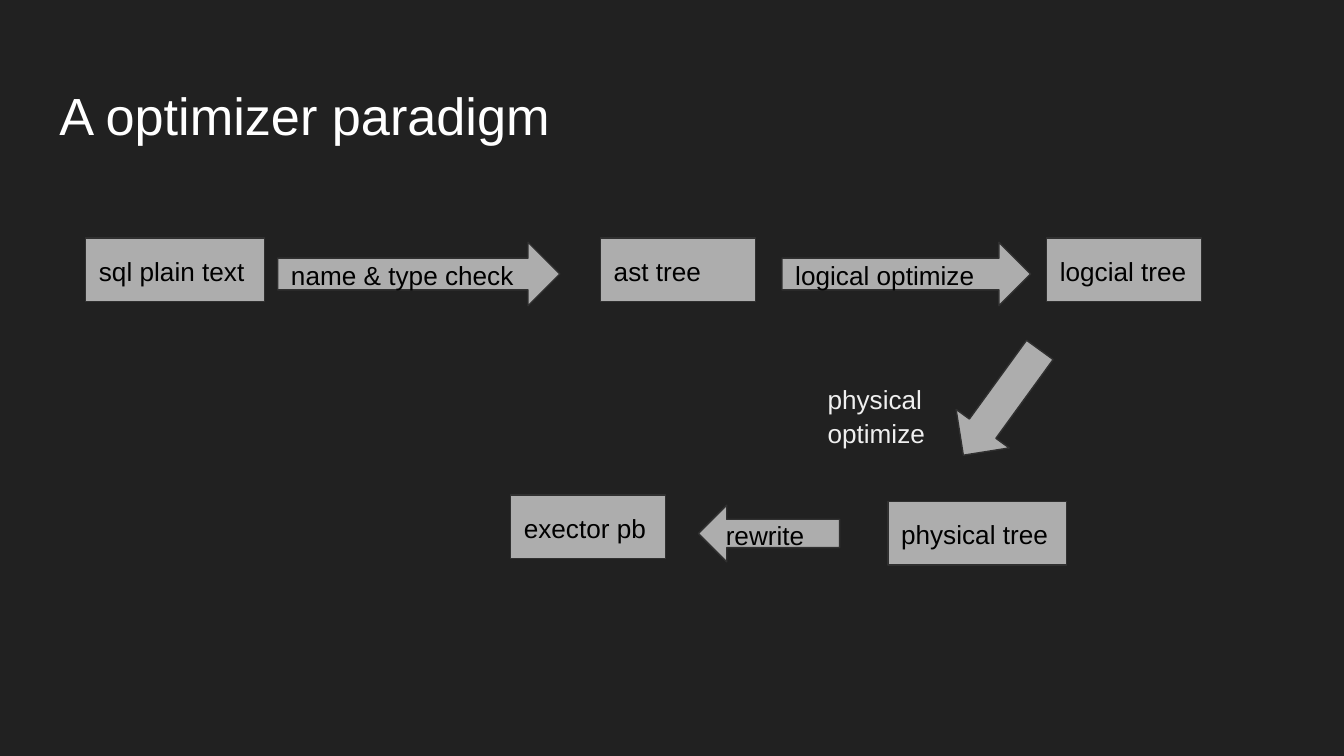
from pptx import Presentation
from pptx.dml.color import RGBColor
from pptx.enum.shapes import MSO_SHAPE
from pptx.enum.text import MSO_ANCHOR, MSO_AUTO_SIZE, PP_ALIGN
from pptx.util import Cm, Pt

RECT, RIGHT = MSO_SHAPE.RECTANGLE, MSO_SHAPE.RIGHT_ARROW
LEFT, DOWN = MSO_SHAPE.LEFT_ARROW, MSO_SHAPE.DOWN_ARROW
TOP, MIDDLE = MSO_ANCHOR.TOP, MSO_ANCHOR.MIDDLE

COLORS = {"bg": "212121", "fill": "ADADAD", "line": "303030",
          "title": "FFFFFF", "label": "EFEFEF", "text": "000000"}
TITLE_ONLY = 5
INSET = Cm(0.25)


def color(name):
    return RGBColor.from_string(COLORS[name])


def write(sp, text, size, color_name, anchor):
    tf = sp.text_frame
    frame = {"word_wrap": True, "auto_size": MSO_AUTO_SIZE.NONE,
             "vertical_anchor": anchor}
    frame.update({f"margin_{side}": INSET
                  for side in ("left", "top", "right", "bottom")})
    for name, value in frame.items():
        setattr(tf, name, value)
    p = tf.paragraphs[0]
    p.alignment, p.line_spacing = PP_ALIGN.LEFT, 1.07
    r = p.add_run()
    r.text = text
    for name, value in {"name": "Arial", "size": Pt(size)}.items():
        setattr(r.font, name, value)
    r.font.color.rgb = color(color_name)


def add_title(s, box, text):
    sp = s.shapes.title
    for name, value in zip(("left", "top", "width", "height"), box):
        setattr(sp, name, Cm(value))
    write(sp, text, 28, "title", TOP)


def add_block(s, kind, box, text="", rotation=0):
    sp = s.shapes.add_shape(kind, *map(Cm, box))
    sp.shadow.inherit = False
    sp.rotation = rotation
    sp.fill.solid()
    sp.fill.fore_color.rgb = color("fill")
    sp.line.color.rgb = color("line")
    sp.line.width = Pt(0.75)
    if text:
        write(sp, text, 14, "text", MIDDLE)


def add_flow(s, box):
    """Place the stages and the steps between them from the box's corner."""
    x, y = box[:2]
    wide, narrow, height = 3.38, 2.93, 1.2

    # Stages
    for dx, dy, width, text in (
            (0, 0, wide, "sql plain text"),
            (9.73, 0, narrow, "ast tree"),
            (18.16, 0, narrow, "logcial tree"),
            (15.16, 4.98, wide, "physical tree"),
            (8.03, 4.86, narrow, "exector pb")):
        add_block(s, RECT, (x + dx, y + dy, width, height), text)

    # Steps
    for kind, dx, dy, width, depth, text, rotation in (
            (RIGHT, 3.63, 0.08, 5.33, height, "name & type check", 0),
            (RIGHT, 13.16, 0.08, 4.7, height, "logical optimize", 0),
            (DOWN, 16.69, 1.88, 1.24, 2.46, "", 36),
            (LEFT, 11.58, 5.05, 2.67, 1.07, "rewrite", 0)):
        add_block(s, kind, (x + dx, y + dy, width, depth), text, rotation)

    # Label beside the slanted arrow
    sp = s.shapes.add_textbox(Cm(x + 13.77), Cm(y + 2.46), Cm(2.46), Cm(0.66))
    write(sp, "physical optimize", 14, "label", TOP)


def main():
    prs = Presentation()
    prs.slide_width, prs.slide_height = Cm(25.4), Cm(14.29)
    s = prs.slides.add_slide(prs.slide_layouts[TITLE_ONLY])
    s.background.fill.solid()
    s.background.fill.fore_color.rgb = color("bg")
    add_title(s, (0.87, 1.24, 23.67, 1.6), "A optimizer paradigm")
    add_flow(s, (1.62, 4.5, 21.09, 6.18))
    prs.save("out.pptx")


if __name__ == "__main__":
    main()
